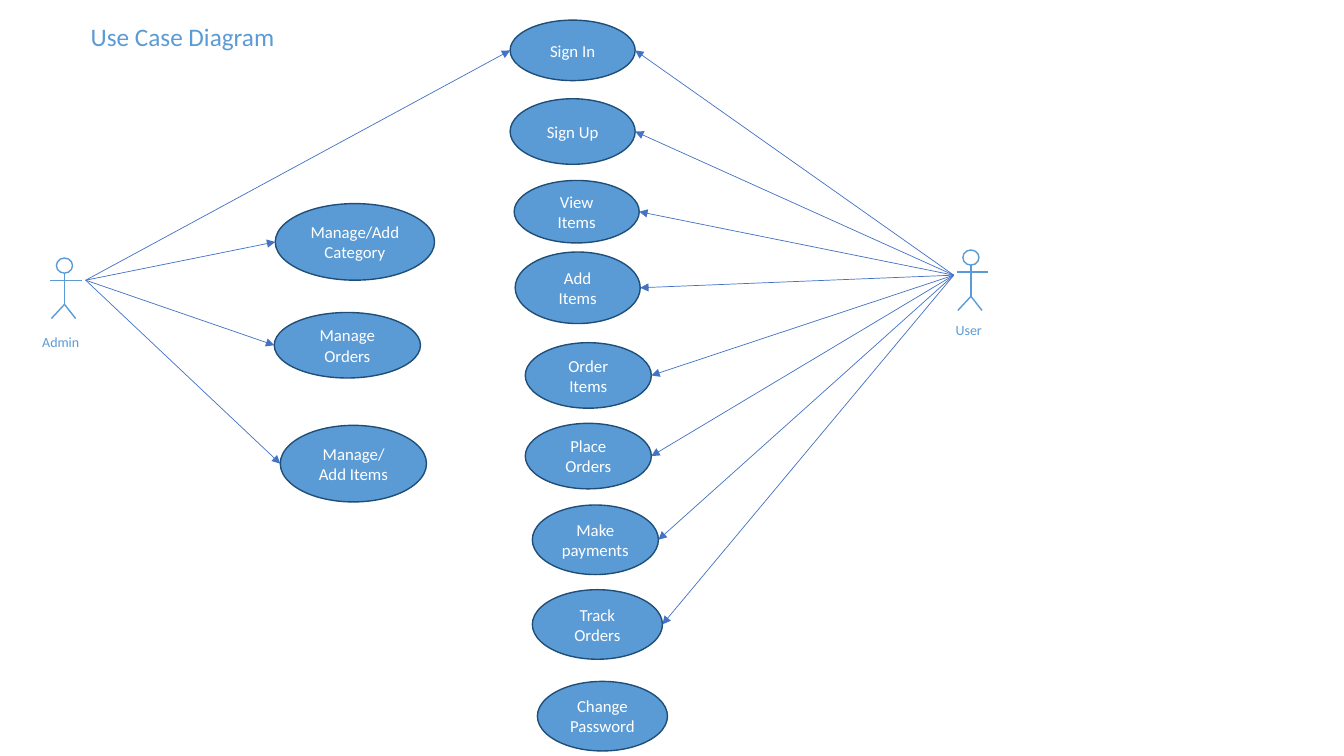
from pptx import Presentation
from pptx.dml.color import RGBColor
from pptx.enum.shapes import MSO_CONNECTOR, MSO_SHAPE
from pptx.enum.text import MSO_ANCHOR, PP_ALIGN
from pptx.oxml.ns import qn
from pptx.util import Inches, Pt
from lxml.etree import SubElement

WHITE = RGBColor(0xFF, 0xFF, 0xFF)
BLUE = RGBColor(0x5B, 0x9B, 0xD5)
NAVY = RGBColor(0x1F, 0x4E, 0x79)
ARROW_BLUE = RGBColor(0x44, 0x72, 0xC4)

# Each use case: label, left, top, width, height
ADMIN_CASES = [
    ("Manage/Add Category", 2.73, 2.02, 1.58, 0.76),
    ("Manage Orders", 2.72, 3.1, 1.45, 0.65),
    ("Manage/Add Items", 2.78, 4.22, 1.45, 0.76),
]
SIGN_IN = ("Sign In", 5.06, 0.2, 1.24, 0.6)
USER_CASES = [
    SIGN_IN,
    ("Sign Up", 5.06, 0.98, 1.24, 0.65),
    ("View Items", 5.1, 1.79, 1.24, 0.62),
    ("Add Items", 5.11, 2.5, 1.24, 0.71),
    ("Order Items", 5.21, 3.4, 1.25, 0.65),
    ("Place Orders", 5.21, 4.2, 1.25, 0.65),
    ("Make payments", 5.28, 5.01, 1.25, 0.69),
    ("Track Orders", 5.28, 5.85, 1.29, 0.69),
]
UNLINKED_CASE = ("Change Password", 5.33, 6.76, 1.29, 0.69)
ADMIN_HAND = (0.85, 2.78)
USER_HAND = (9.46, 2.73)


def write_text(frame, text, size=12, color=WHITE, align=PP_ALIGN.CENTER,
               anchor=MSO_ANCHOR.MIDDLE, spacing=1.0, font="Calibri"):
    """Fill a text frame with one formatted paragraph."""
    frame.word_wrap = True
    frame.vertical_anchor = anchor
    para = frame.paragraphs[0]
    para.alignment = align
    para.line_spacing = spacing
    span = para.add_run()
    span.text = text
    span.font.name = font
    span.font.size = Pt(size)
    span.font.color.rgb = color


class Diagram:
    """Draws use case elements in one style on one slide."""

    def __init__(self, page):
        """Keep the slide to draw on."""
        self.shapes = page.shapes

    def label(self, text, left, top, width, height, **style):
        """Add a text box in the accent blue."""
        box = self.shapes.add_textbox(Inches(left), Inches(top),
                                      Inches(width), Inches(height))
        write_text(box.text_frame, text, color=BLUE,
                   anchor=MSO_ANCHOR.TOP, **style)

    def ellipse(self, left, top, width, height, fill, outline):
        """Add a plain outlined ellipse."""
        oval = self.shapes.add_shape(MSO_SHAPE.OVAL, Inches(left), Inches(top),
                                     Inches(width), Inches(height))
        oval.shadow.inherit = False
        oval.fill.solid()
        oval.fill.fore_color.rgb = fill
        oval.line.color.rgb = outline
        oval.line.width = Pt(1)
        return oval

    def use_case(self, text, left, top, width, height):
        """Add a labelled use case ellipse."""
        oval = self.ellipse(left, top, width, height, BLUE, NAVY)
        write_text(oval.text_frame, text)

    def line(self, start, end, color=BLUE, width=1, arrow=False):
        """Add a straight line, with an arrowhead at its end if asked."""
        link = self.shapes.add_connector(MSO_CONNECTOR.STRAIGHT,
                                         *map(Inches, start + end))
        link.line.color.rgb = color
        link.line.width = Pt(width)
        if arrow:
            SubElement(link.line._get_or_add_ln(), qn("a:tailEnd"),
                       type="triangle")
        SubElement(link._element.spPr, qn("a:effectLst"))

    def actor(self, center, top):
        """Add a stick figure whose head starts at the given top."""
        hip = (center, top + 0.46)
        self.ellipse(center - 0.08, top, 0.16, 0.15, WHITE, BLUE)
        self.line((center, top + 0.15), hip)
        self.line((center - 0.14, top + 0.22), (center + 0.17, top + 0.22))
        for reach in (-0.13, 0.11):
            self.line(hip, (center + reach, top + 0.6))

    def arrow(self, hand, case):
        """Point from an actor's hand to the nearer side of a use case."""
        _, left, top, width, height = case
        side = left if hand[0] < left else left + width
        self.line(hand, (side, top + height / 2), color=ARROW_BLUE,
                  width=0.5, arrow=True)


def main():
    """Build and save the use case slide."""
    deck = Presentation()
    deck.slide_width, deck.slide_height = Inches(13.33), Inches(7.5)
    diagram = Diagram(deck.slides.add_slide(deck.slide_layouts[6]))

    diagram.label("Use Case Diagram", 0.25, 0.2, 3.12, 0.48,
                  size=18, spacing=0.9)
    for case in ADMIN_CASES + USER_CASES + [UNLINKED_CASE]:
        diagram.use_case(*case)

    diagram.actor(0.64, 2.56)
    diagram.actor(9.63, 2.48)
    diagram.label("Admin", 0.32, 3.26, 0.65, 0.27, size=10,
                  align=PP_ALIGN.LEFT)
    diagram.label("User", 9.38, 3.14, 0.62, 0.27, size=10,
                  align=PP_ALIGN.LEFT)

    for hand, cases in ((ADMIN_HAND, ADMIN_CASES + [SIGN_IN]),
                        (USER_HAND, USER_CASES)):
        for case in cases:
            diagram.arrow(hand, case)

    deck.save("out.pptx")


main()
